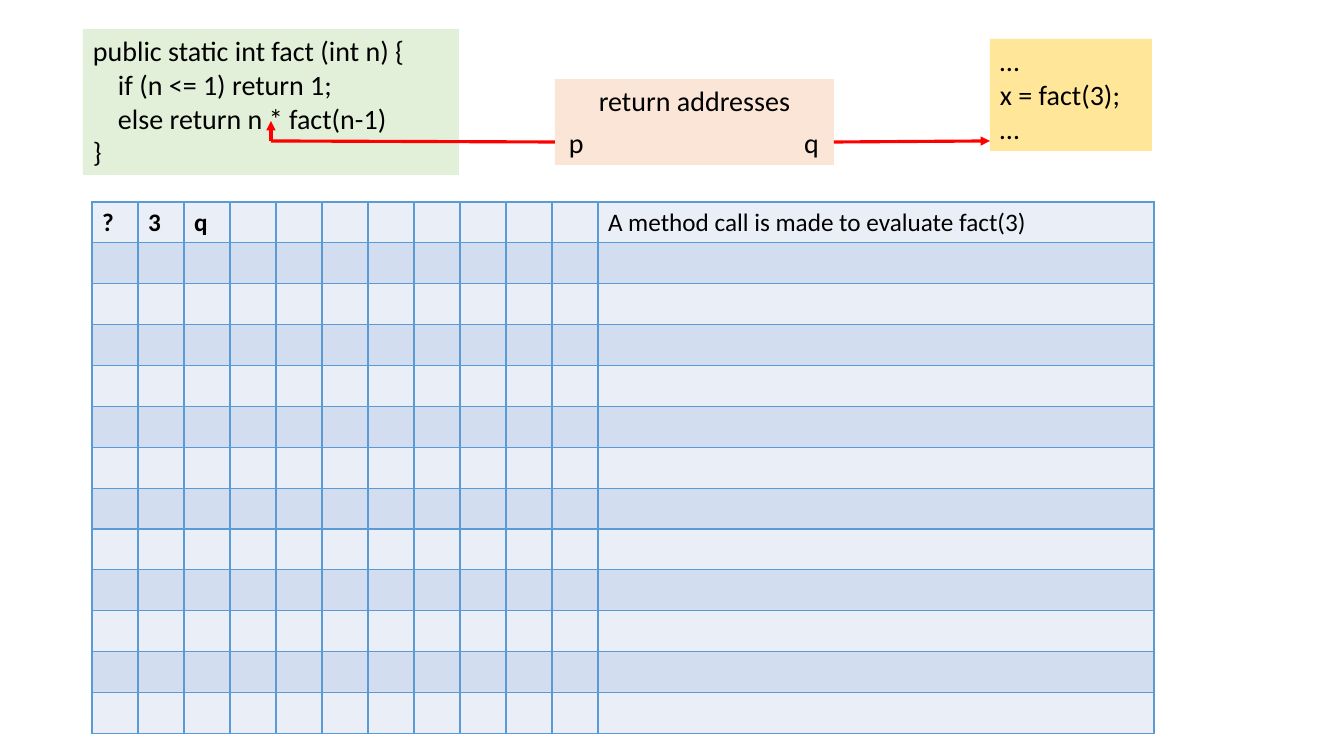
"""Build a slide that traces the call stack of a recursive factorial method."""
from lxml import etree
from pptx import Presentation
from pptx import util as u
from pptx.dml.color import RGBColor
from pptx.enum import shapes, text
from pptx.oxml import ns

BLACK = RGBColor(0x00, 0x00, 0x00)
RED = RGBColor(0xFF, 0x00, 0x00)
GREEN = RGBColor(0xE2, 0xF0, 0xD9)
YELLOW = RGBColor(0xFF, 0xE6, 0x99)
PEACH = RGBColor(0xFB, 0xE5, 0xD6)
BORDER = RGBColor(0x5B, 0x9B, 0xD5)
BANDS = (RGBColor(0xEA, 0xEF, 0xF7), RGBColor(0xD2, 0xDE, 0xEF))


def px(pixels):
    return u.Emu(round(pixels * 914400 / 100.8))


def add_child(parent, tag, **attributes):
    return etree.SubElement(parent, ns.qn(tag), attributes)


class SlideBuilder:
    font_name = "Calibri"

    def __init__(self, slide):
        self.slide = slide

    def style(self, paragraph, size, bold=False):
        font = paragraph.font
        font.name, font.size, font.bold = self.font_name, u.Pt(size), bold
        font.color.rgb = BLACK

    def box(self, left, top, width, height, fill, lines, align=text.PP_ALIGN.LEFT, inset=10):
        shape = self.slide.shapes.add_textbox(px(left), px(top), px(width), px(height))
        shape.fill.solid()
        shape.fill.fore_color.rgb = fill
        frame = shape.text_frame
        frame.word_wrap = True
        frame.margin_left = frame.margin_right = px(inset)
        frame.text = "\n".join(lines)
        for paragraph in frame.paragraphs:
            paragraph.alignment = align
            self.style(paragraph, 20)
        return frame.paragraphs

    def indent(self, paragraph, width):
        paragraph._p.get_or_add_pPr().set("marL", str(px(width)))

    def right_tab(self, paragraph, position):
        tabs = etree.Element(ns.qn("a:tabLst"))
        add_child(tabs, "a:tab", pos=str(px(position)), algn="r")
        paragraph._p.get_or_add_pPr().insert(0, tabs)

    def line(self, start, end, arrow=True):
        connector = self.slide.shapes.add_connector(
            shapes.MSO_CONNECTOR.STRAIGHT, *map(px, start + end))
        connector.line.color.rgb = RED
        connector.line.width = u.Pt(2.25)
        if arrow:
            add_child(connector.line._get_or_add_ln(), "a:tailEnd", type="triangle")
        add_child(connector._element.spPr, "a:effectLst")

    def cell_borders(self, cell):
        properties = cell._tc.get_or_add_tcPr()
        for index, side in enumerate("LRTB"):
            border = etree.Element(ns.qn(f"a:ln{side}"), w=str(u.Pt(1)))
            fill = add_child(border, "a:solidFill")
            add_child(fill, "a:srgbClr", val=str(BORDER))
            properties.insert(index, border)

    def table(self, left, top, widths, row_count, height, first_row):
        table = self.slide.shapes.add_table(
            row_count, len(widths), px(left), px(top), px(sum(widths)), px(height)).table
        table.first_row = table.horz_banding = False
        for column, width in zip(table.columns, widths):
            column.width = px(width)
        for index, row in enumerate(table.rows):
            row.height = px(height / row_count)
            for cell in row.cells:
                cell.fill.solid()
                cell.fill.fore_color.rgb = BANDS[index % 2]
                self.cell_borders(cell)
                self.style(cell.text_frame.paragraphs[0], 18)
        for column, (label, bold) in first_row.items():
            cell = table.cell(0, column)
            cell.text = label
            self.style(cell.text_frame.paragraphs[0], 18, bold)


presentation = Presentation()
presentation.slide_width, presentation.slide_height = px(1344), px(756)
builder = SlideBuilder(presentation.slides.add_slide(presentation.slide_layouts[6]))

stack_columns = 11
builder.table(92, 202, [46] * stack_columns + [556], 13, 531, {
    0: ("?", True), 1: ("3", True), 2: ("q", True),
    stack_columns: ("A method call is made to evaluate fact(3)", False)})

method_lines = builder.box(83, 29, 376, 146, GREEN, [
    "public static int fact (int n) {", "if (n <= 1) return 1;",
    "else return n * fact(n-1)", "}"])
for body_line in method_lines[1:3]:
    builder.indent(body_line, 25)

builder.box(990, 39, 162, 112, YELLOW, ["…", "x = fact(3);", "…"])

addresses = builder.box(555, 121, 279, 44, PEACH, ["p\tq"], inset=14)
builder.right_tab(addresses[0], 250)

builder.line((834, 142), (990, 141))
builder.line((555, 142), (271, 141), arrow=False)
builder.line((271, 141), (271, 121))

builder.box(555, 79, 279, 44, PEACH, ["return addresses"], text.PP_ALIGN.CENTER)

presentation.save("out.pptx")
